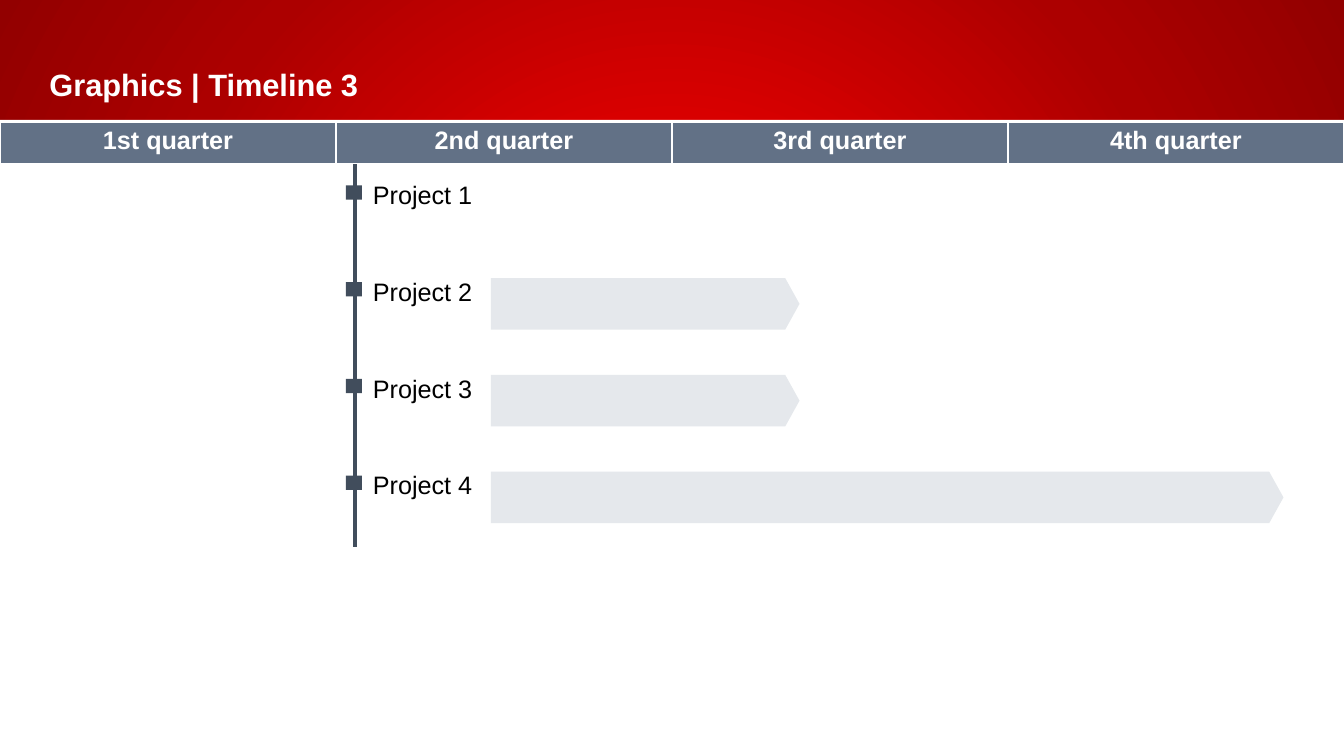
from lxml import etree
from pptx import Presentation
from pptx.dml.color import RGBColor
from pptx.enum.shapes import MSO_CONNECTOR as Connector, MSO_SHAPE as Shape
from pptx.enum.text import MSO_ANCHOR as Anchor, PP_ALIGN as Align
from pptx.oxml import parse_xml
from pptx.oxml.ns import nsdecls, qn
from pptx.util import Inches, Pt

WHITE = RGBColor(0xFF, 0xFF, 0xFF)
BLACK = RGBColor(0, 0, 0)
SLATE = RGBColor(0x62, 0x71, 0x86)
DARK_SLATE = RGBColor(0x41, 0x4D, 0x5C)
PALE_SLATE = RGBColor(0xE5, 0xE8, 0xEC)
RED = RGBColor(0xEF, 0, 0)
CRIMSON = RGBColor(0xAC, 0, 0)
MAROON = RGBColor(0x92, 0, 0)
GLOW = [(0, RED), (16, RED), (69, CRIMSON), (100, MAROON)]

FONT = "Arial"
WIDTH, HEIGHT = 13.33, 7.5
QUARTERS = ["1st quarter", "2nd quarter", "3rd quarter", "4th quarter"]
COLUMN = WIDTH / len(QUARTERS)
PROJECTS = [("Project 1", 0), ("Project 2", 3.06), ("Project 3", 3.06), ("Project 4", 7.86)]
FIRST_ROW, ROW = 1.73, 0.96
AXIS = 3.52


def area(left, top, width, height):
    return [Inches(value) for value in (left, top, width, height)]


def style_text(para, size, color, bold=False):
    for span in para.runs:
        span.font.name = FONT
        span.font.size = Pt(size)
        span.font.bold = bold
        span.font.color.rgb = color


def paint_background(page):
    page.background.fill.gradient()
    gradient = page.element.find(".//" + qn("a:gradFill"))
    stops = "".join(
        f'<a:gs pos="{share * 1000}"><a:srgbClr val="{color}"/></a:gs>' for share, color in GLOW
    )
    glow = parse_xml(
        f'<a:gradFill {nsdecls("a")} rotWithShape="1"><a:gsLst>{stops}</a:gsLst>'
        '<a:path path="circle"><a:fillToRect l="50000" t="50000" r="50000" b="50000"/></a:path>'
        "</a:gradFill>"
    )
    gradient.getparent().replace(gradient, glow)


def add_block(page, kind, place, color):
    block = page.shapes.add_shape(kind, *area(*place))
    block.shadow.inherit = False
    block.fill.solid()
    block.fill.fore_color.rgb = color
    block.line.fill.background()
    return block


def add_text(page, text, place, size, color, bold=False):
    box = page.shapes.add_textbox(*area(*place))
    box.text_frame.text = text
    style_text(box.text_frame.paragraphs[0], size, color, bold)
    return box.text_frame


def add_title(page, text):
    frame = add_text(page, text, (0, 0.49, 11.09, 0.69), 22, WHITE, True)
    frame.word_wrap = True
    frame.vertical_anchor = Anchor.BOTTOM
    frame.margin_left = Inches(0.49)
    frame.margin_top = frame.margin_bottom = Inches(0.16)


def add_axis(page):
    axis = page.shapes.add_connector(Connector.STRAIGHT, *area(AXIS, 1.5, AXIS, 5.43))
    axis.line.color.rgb = DARK_SLATE
    axis.line.width = Pt(3)
    etree.SubElement(axis.element.spPr, qn("a:effectLst"))


def add_side_borders(cell):
    properties = cell._tc.get_or_add_tcPr()
    for side in ("lnL", "lnR"):
        border = etree.SubElement(properties, qn(f"a:{side}"), w=str(Pt(1)))
        fill = etree.SubElement(border, qn("a:solidFill"))
        etree.SubElement(fill, qn("a:srgbClr"), val=str(WHITE))


def add_quarters(page):
    place = area(0, 1.21, WIDTH, 0.41)
    table = page.shapes.add_table(1, len(QUARTERS), *place).table
    table.first_row = table.horz_banding = False
    for cell, column, quarter in zip(table.iter_cells(), table.columns, QUARTERS):
        column.width = Inches(COLUMN)
        add_side_borders(cell)
        cell.fill.solid()
        cell.fill.fore_color.rgb = SLATE
        para = cell.text_frame.paragraphs[0]
        para.text = quarter
        para.alignment = Align.CENTER
        style_text(para, 18, WHITE, True)


def add_project(page, name, top):
    add_block(page, Shape.RECTANGLE, (AXIS - 0.09, top + 0.11, 0.16, 0.14), DARK_SLATE)
    frame = add_text(page, name, (AXIS + 0.08, top, 1.23, 0.35), 18, BLACK)
    frame.word_wrap = False


def add_bar(page, top, length):
    bar = add_block(page, Shape.PENTAGON, (4.87, top + 0.07, length, 0.51), PALE_SLATE)
    bar.adjustments[0] = 0.277


def main():
    deck = Presentation()
    deck.slide_width, deck.slide_height = Inches(WIDTH), Inches(HEIGHT)
    page = deck.slides.add_slide(deck.slide_layouts[6])
    paint_background(page)
    add_block(page, Shape.RECTANGLE, (0, 1.19, WIDTH, HEIGHT - 1.19), WHITE)
    add_title(page, "Graphics | Timeline 3")
    add_axis(page)
    add_quarters(page)
    for index, (name, length) in enumerate(PROJECTS):
        top = FIRST_ROW + index * ROW
        add_project(page, name, top)
        if length:
            add_bar(page, top, length)
    deck.save("out.pptx")


if __name__ == "__main__":
    main()
